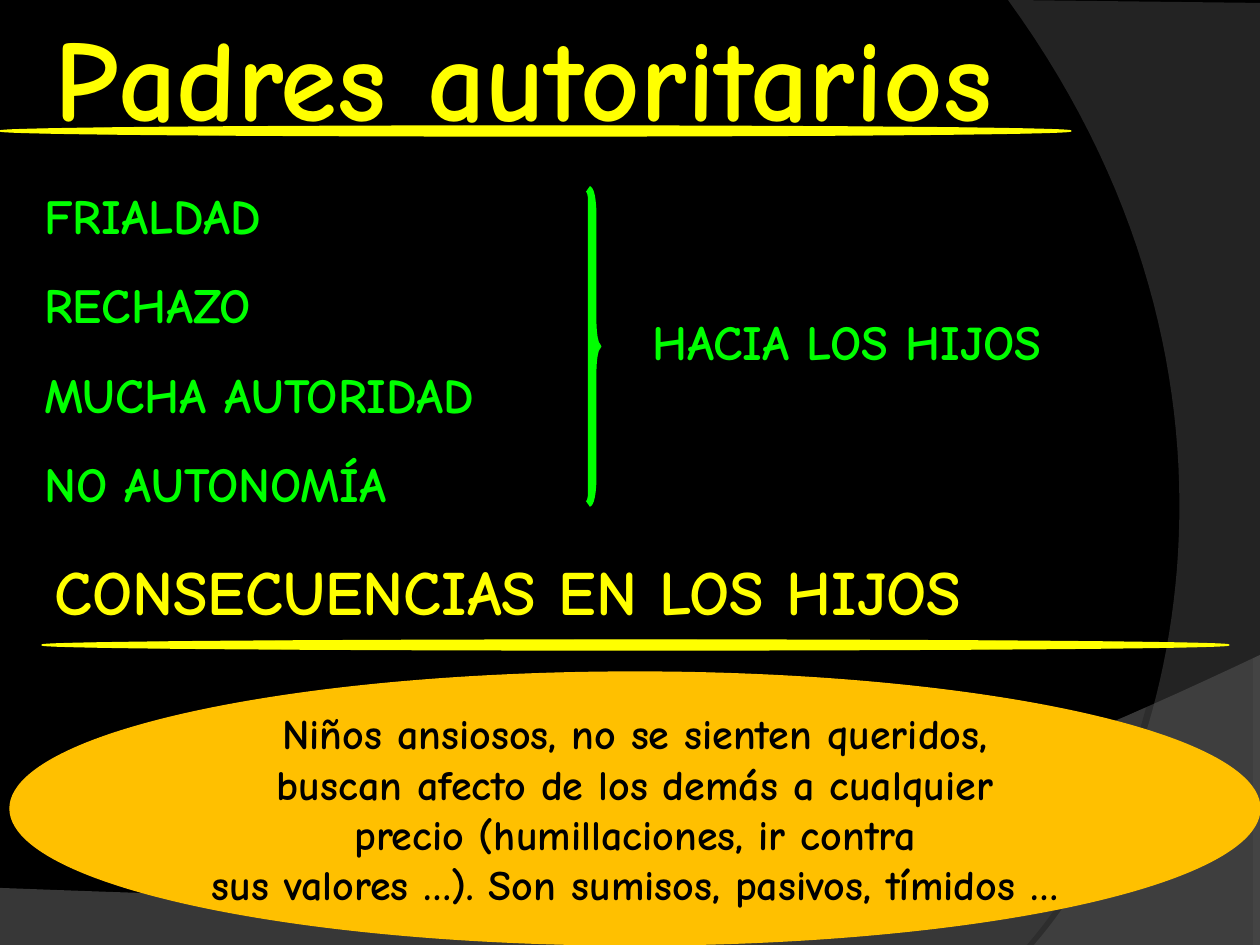
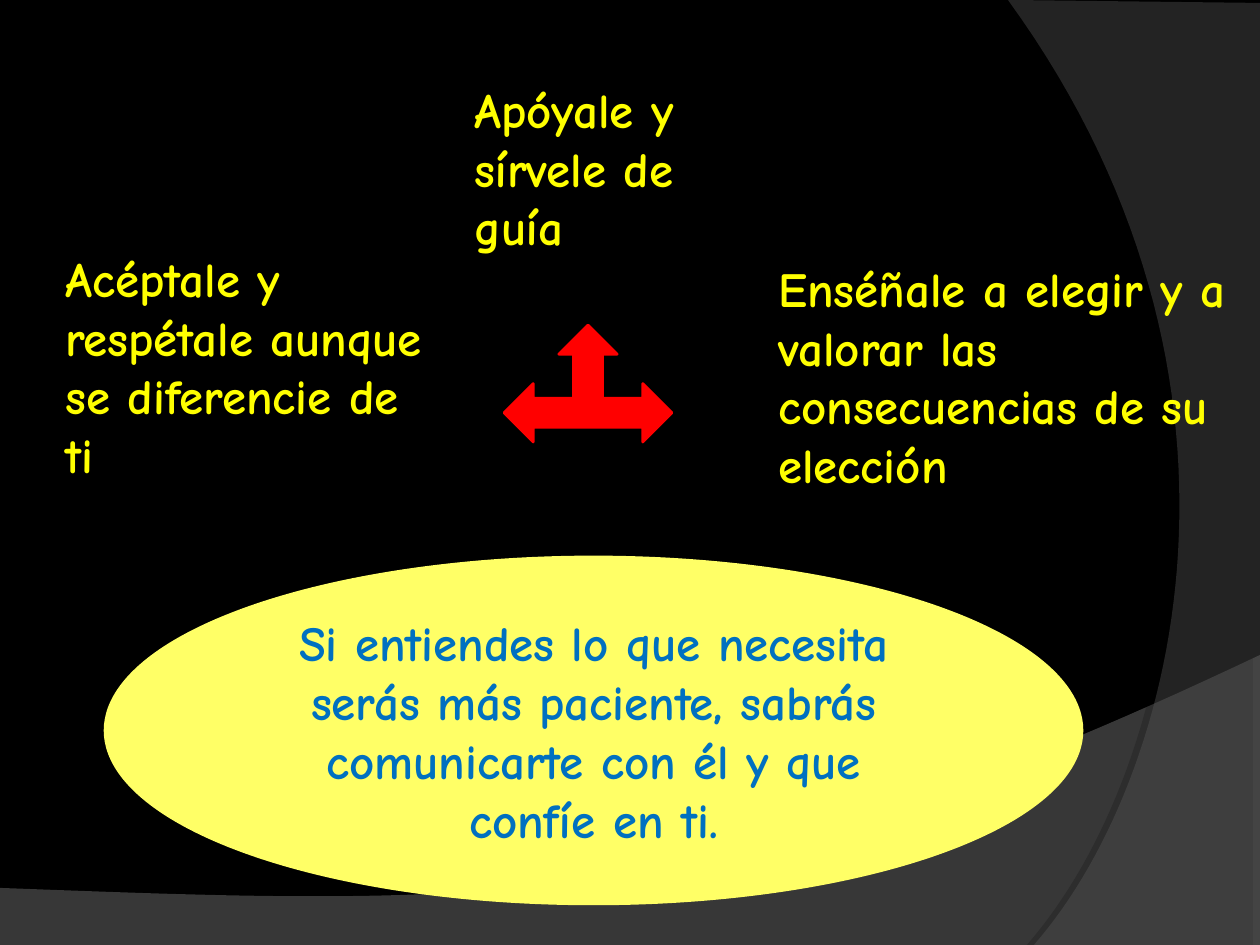
import lxml.etree
import pptx
import pptx.dml.color
import pptx.enum.shapes
import pptx.enum.text
import pptx.oxml.ns
import pptx.util

SHAPE = pptx.enum.shapes.MSO_SHAPE
PX = 914400 / 126
FONT = "Comic Neue"
COLORS = {
    "background": "000000",
    "floor": "7C7C7C",
    "side": "595959",
    "heading": "FFFF00",
    "trait": "00FF00",
    "arrows": "FF0000",
    "outcome": "FFC000",
    "outcome_text": "000000",
    "advice": "FFFF66",
    "advice_text": "0070C0",
}

# Content: text boxes are (lines, box in px, size in pt, colour, space between in pt)
PARENT_TEXTS = [
    (["Padres autoritarios"], (42, 0, 1218, 151), 66, "heading", 0),
    (["FRIALDAD", "RECHAZO", "MUCHA AUTORIDAD", "NO AUTONOMÍA"],
     (32, 179, 1029, 340), 28, "trait", 17.5),
    (["HACIA LOS HIJOS"], (640, 305, 567, 72), 28, "trait", 0),
    (["CONSECUENCIAS EN LOS HIJOS"], (42, 546, 1218, 88), 36, "heading", 0),
]
HEADING_RULES = [(0, 126, 1071, 10), (42, 640, 1187, 10)]
OUTCOME = [
    "Niños ansiosos, no se sienten queridos,",
    "buscan afecto de los demás a cualquier",
    "precio (humillaciones, ir contra",
    "sus valores …). Son sumisos, pasivos, tímidos …",
]

ADVICE_TEXTS = [
    (["Acéptale y respétale aunque se diferencie de ti"],
     (53, 242, 399, 248), 28, "heading", 0),
    (["Apóyale y sírvele de guía"], (462, 73, 273, 189), 28, "heading", 0),
    (["Enséñale a elegir y a valorar las consecuencias de su elección"],
     (766, 252, 494, 248), 28, "heading", 0),
]
ADVICE = ["Si entiendes lo que necesita serás más paciente, "
          "sabrás comunicarte con él y que confíe en ti."]

# Background bands: straight corners, then a curve from the last corner
BANDS = [
    {"color": "floor", "opacity": 45,
     "corners": [(0, 888), (0, 945), (1260, 945), (1260, 655)],
     "curve": [(704, 919), (493, 906), (0, 888)],
     "shadow": {"opacity": 35, "distance": 3.5, "angle": 270}},
    {"color": "side", "opacity": 40,
     "corners": [(1260, 3), (1260, 945), (1034, 945)],
     "curve": [(1178, 780), (1283, 378), (1008, 0)],
     "shadow": {"opacity": 45, "distance": 4, "angle": 180}},
]
CURVE_STEPS = 60


def emu(lengths):
    return [round(length * PX) for length in lengths]


def rgb(name):
    return pptx.dml.color.RGBColor.from_string(COLORS[name])


def sub(parent, tag, **attributes):
    child = lxml.etree.SubElement(parent, pptx.oxml.ns.qn(tag))
    for key, value in attributes.items():
        child.set(key, str(value))
    return child


def bezier(start, control_1, control_2, end):
    for step in range(1, CURVE_STEPS + 1):
        t = step / CURVE_STEPS
        weights = ((1 - t) ** 3, 3 * t * (1 - t) ** 2, 3 * t * t * (1 - t), t ** 3)
        corners = (start, control_1, control_2, end)
        yield tuple(sum(w * corner[axis] for w, corner in zip(weights, corners))
                    for axis in (0, 1))


def add_band(slide, band):
    corners = band["corners"]
    outline = corners + list(bezier(corners[-1], *band["curve"]))
    points = [emu(point) for point in outline]
    builder = slide.shapes.build_freeform(*points[0], scale=1.0)
    builder.add_line_segments(points[1:], close=True)
    shape = builder.convert_to_shape()
    shape.line.fill.background()
    shape.fill.solid()
    shape.fill.fore_color.rgb = rgb(band["color"])
    shape.shadow.inherit = False
    properties = shape._element.spPr
    fill_color = properties.find(".//" + pptx.oxml.ns.qn("a:srgbClr"))
    sub(fill_color, "a:alpha", val=band["opacity"] * 1000)
    shadow = band["shadow"]
    effects = properties.find(pptx.oxml.ns.qn("a:effectLst"))
    outer = sub(effects, "a:outerShdw", blurRad=0, dist=round(shadow["distance"] * 12700),
                dir=shadow["angle"] * 60000, algn="ctr", rotWithShape=0)
    shadow_color = sub(outer, "a:srgbClr", val=COLORS["background"])
    sub(shadow_color, "a:alpha", val=shadow["opacity"] * 1000)


def add_slide(deck):
    slide = deck.slides.add_slide(deck.slide_layouts[6])
    slide.background.fill.solid()
    slide.background.fill.fore_color.rgb = rgb("background")
    for band in BANDS:
        add_band(slide, band)
    return slide


def write(frame, lines, size, color, gap=0, align=pptx.enum.text.PP_ALIGN.LEFT):
    for index, line in enumerate(lines):
        paragraph = frame.add_paragraph() if index else frame.paragraphs[0]
        paragraph.text = line
        paragraph.alignment = align
        if index and gap:
            paragraph.space_before = pptx.util.Pt(gap)
        paragraph.font.name = FONT
        paragraph.font.size = pptx.util.Pt(size)
        paragraph.font.bold = True
        paragraph.font.color.rgb = rgb(color)


def add_text(slide, lines, box, size, color, gap):
    frame = slide.shapes.add_textbox(*emu(box)).text_frame
    frame.word_wrap = True
    frame.auto_size = pptx.enum.text.MSO_AUTO_SIZE.SHAPE_TO_FIT_TEXT
    write(frame, lines, size, color, gap)


def add_solid(slide, kind, box, color, line_width):
    shape = slide.shapes.add_shape(kind, *emu(box))
    shape.shadow.inherit = False
    shape.fill.solid()
    shape.fill.fore_color.rgb = rgb(color)
    shape.line.color.rgb = rgb(color)
    shape.line.width = pptx.util.Pt(line_width)
    return shape


def add_oval(slide, lines, box, color, line_width, size, wrap):
    frame = add_solid(slide, SHAPE.OVAL, box, color, line_width).text_frame
    frame.word_wrap = wrap
    frame.vertical_anchor = pptx.enum.text.MSO_ANCHOR.MIDDLE
    write(frame, lines, size, color + "_text", align=pptx.enum.text.PP_ALIGN.CENTER)


def main():
    deck = pptx.Presentation()
    deck.slide_width, deck.slide_height = emu((1260, 945))

    # Authoritarian parents
    parents = add_slide(deck)
    for text in PARENT_TEXTS:
        add_text(parents, *text)
    for rule in HEADING_RULES:
        add_solid(parents, SHAPE.OVAL, rule, "heading", 0.75)
    brace = add_solid(parents, SHAPE.RIGHT_BRACE, (588, 189, 10, 315), "trait", 4)
    brace.adjustments[0] = 2.6
    add_oval(parents, OUTCOME, (10, 672, 1250, 273), "outcome", 0.75, 24, wrap=False)

    # Advice
    advice = add_slide(deck)
    add_solid(advice, SHAPE.LEFT_RIGHT_UP_ARROW, (504, 325, 168, 117), "arrows", 1.5)
    for text in ADVICE_TEXTS:
        add_text(advice, *text)
    add_oval(advice, ADVICE, (105, 557, 977, 347), "advice", 1.5, 28, wrap=True)

    deck.save("out.pptx")


if __name__ == "__main__":
    main()
